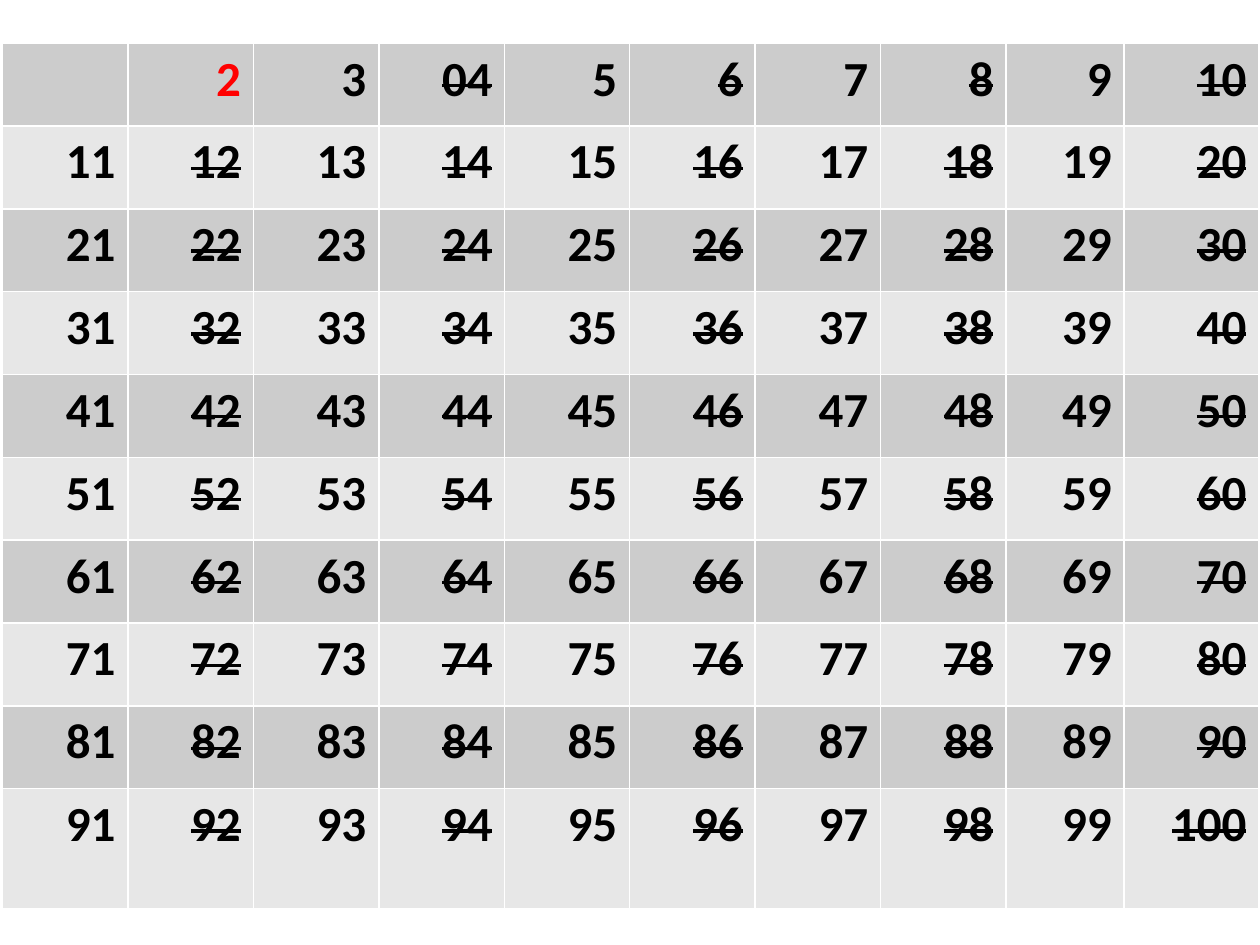
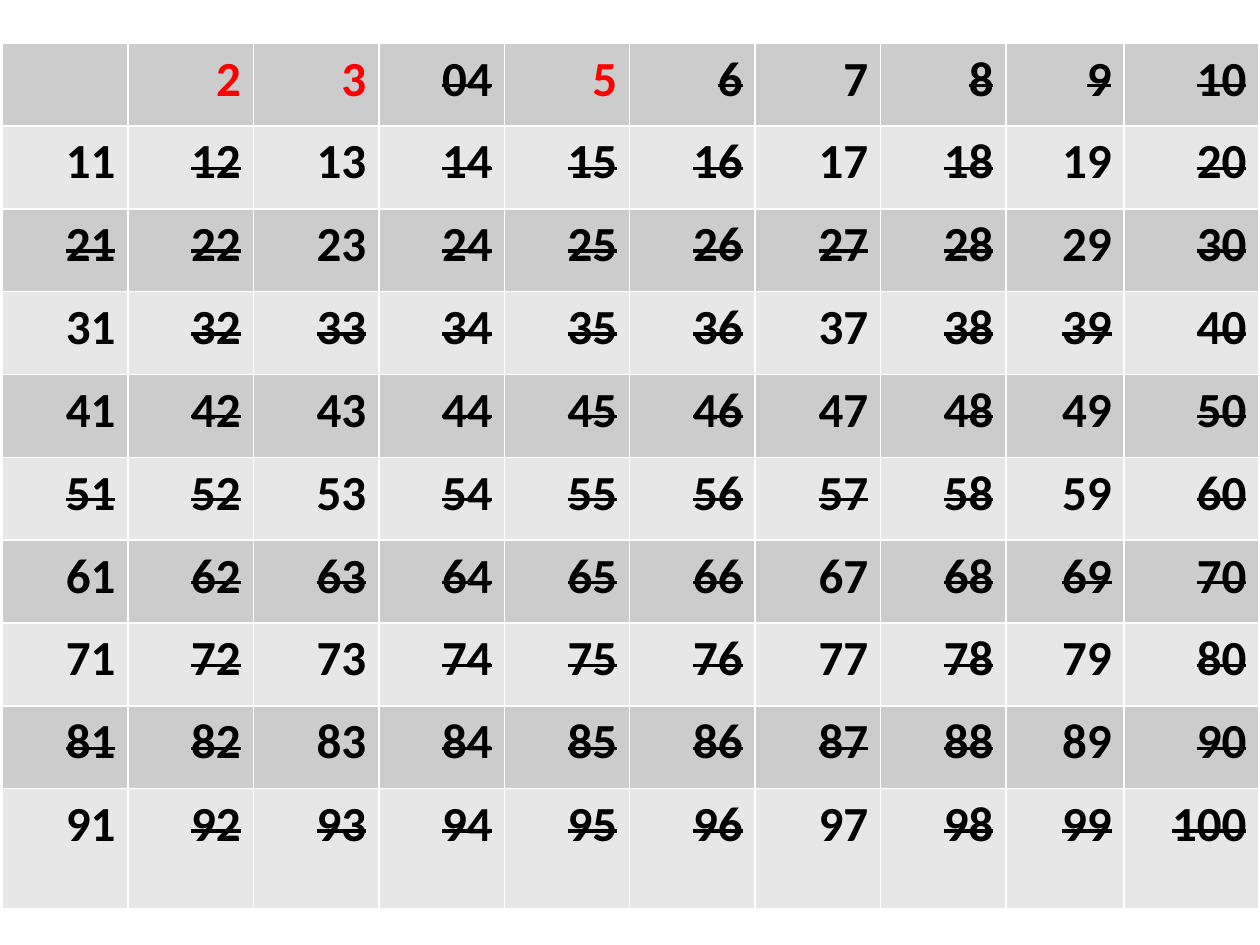
import pptx
import pptx.dml.color
import pptx.enum.text
import pptx.oxml.ns
import pptx.util
from lxml import etree

Cm = pptx.util.Cm
Pt = pptx.util.Pt
RGBColor = pptx.dml.color.RGBColor

BLACK = RGBColor(0x00, 0x00, 0x00)
RED = RGBColor(0xFF, 0x00, 0x00)
WHITE = RGBColor(0xFF, 0xFF, 0xFF)
BANDS = (RGBColor(0xCC, 0xCC, 0xCC), RGBColor(0xE7, 0xE7, 0xE7))

FONT = "Calibri"
SIZE = 10
WIDTHS = [2.53] * 8 + [2.38, 2.72]
HEIGHTS = [1.67] * 9 + [2.41]
STEPS = [(2,), (2, 3, 5)]  # primes sieved out on each slide


def add_edges(cell):
    """Give the cell thin white borders; call before setting its fill."""
    props = cell._tc.get_or_add_tcPr()
    for side in ("lnL", "lnR", "lnT", "lnB"):
        line = etree.SubElement(props, pptx.oxml.ns.qn("a:" + side), w=str(Pt(1)))
        fill = etree.SubElement(line, pptx.oxml.ns.qn("a:solidFill"))
        etree.SubElement(fill, pptx.oxml.ns.qn("a:srgbClr"), val=str(WHITE))


deck = pptx.Presentation()
deck.slide_width = Cm(25.4)
deck.slide_height = Cm(19.05)
blank = deck.slide_layouts[6]

for primes in STEPS:
    slide = deck.slides.add_slide(blank)
    frame = slide.shapes.add_table(
        SIZE, SIZE, Cm(0.05), Cm(0.87), Cm(sum(WIDTHS)), Cm(sum(HEIGHTS))
    )
    grid = frame.table
    grid.first_row = False
    grid.horz_banding = False
    for col, width in zip(grid.columns, WIDTHS):
        col.width = Cm(width)
    for row, height in zip(grid.rows, HEIGHTS):
        row.height = Cm(height)

    for index, cell in enumerate(grid.iter_cells()):
        number = index + 1
        add_edges(cell)
        cell.fill.solid()
        cell.fill.fore_color.rgb = BANDS[index // SIZE % 2]
        if number == 1:
            continue

        para = cell.text_frame.paragraphs[0]
        para.text = "04" if number == 4 else str(number)
        para.alignment = pptx.enum.text.PP_ALIGN.RIGHT
        run = para.runs[0]
        run.font.name = FONT
        run.font.size = Pt(28)
        run.font.bold = True
        run.font.color.rgb = RED if number in primes else BLACK
        if number not in primes and any(number % prime == 0 for prime in primes):
            run._r.get_or_add_rPr().set("strike", "sngStrike")

deck.save("out.pptx")
